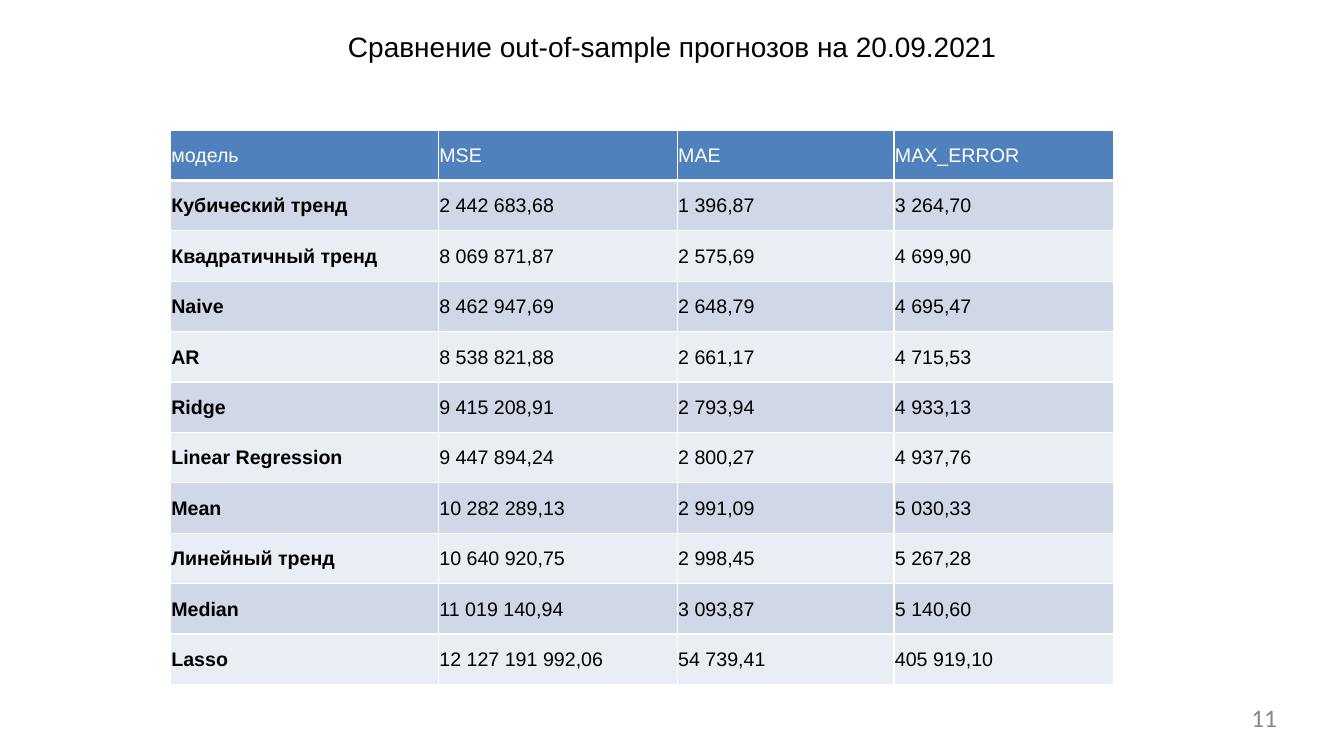
"""Build a slide with a table that compares out-of-sample forecast errors."""
from lxml.etree import SubElement
from pptx import Presentation
from pptx.dml.color import RGBColor
from pptx.enum.text import MSO_ANCHOR as Anchor, PP_ALIGN as Align
from pptx.oxml.ns import qn
from pptx.util import Pt

BLACK = RGBColor(0x00, 0x00, 0x00)
WHITE = RGBColor(0xFF, 0xFF, 0xFF)
GRAY = RGBColor(0x88, 0x88, 0x88)
HEADER_BLUE = RGBColor(0x4F, 0x81, 0xBD)
BAND_DARK = RGBColor(0xD0, 0xD8, 0xE8)
BAND_LIGHT = RGBColor(0xE9, 0xED, 0xF4)

COLUMN_WIDTHS = [191.5, 170.6, 154.8, 157]
ROW_HEIGHT = 36
ROWS = [
    ("модель", "MSE", "MAE", "MAX_ERROR"),
    ("Кубический тренд", "2 442 683,68", "1 396,87", "3 264,70"),
    ("Квадратичный тренд", "8 069 871,87", "2 575,69", "4 699,90"),
    ("Naive", "8 462 947,69", "2 648,79", "4 695,47"),
    ("AR", "8 538 821,88", "2 661,17", "4 715,53"),
    ("Ridge", "9 415 208,91", "2 793,94", "4 933,13"),
    ("Linear Regression", "9 447 894,24", "2 800,27", "4 937,76"),
    ("Mean", "10 282 289,13", "2 991,09", "5 030,33"),
    ("Линейный тренд", "10 640 920,75", "2 998,45", "5 267,28"),
    ("Median", "11 019 140,94", "3 093,87", "5 140,60"),
    ("Lasso", "12 127 191 992,06", "54 739,41", "405 919,10"),
]


def write_text(frame, text, size, color, font="Arial", bold=False, align=Align.LEFT):
    frame.word_wrap = True
    paragraph = frame.paragraphs[0]
    paragraph.alignment = align
    run = paragraph.add_run()
    run.text = text
    run.font.name = font
    run.font.size = Pt(size)
    run.font.bold = bold
    run.font.color.rgb = color


def add_border(cell, side, width):
    line = SubElement(cell._tc.get_or_add_tcPr(), qn(f"a:ln{side}"), w=str(Pt(width)))
    fill = SubElement(line, qn("a:solidFill"))
    SubElement(fill, qn("a:srgbClr"), val=str(WHITE))


presentation = Presentation()
presentation.slide_width = Pt(960)
presentation.slide_height = Pt(540)
slide = presentation.slides.add_slide(presentation.slide_layouts[5])

title = slide.shapes.title
title.left, title.top, title.width, title.height = Pt(27.4), Pt(20.9), Pt(905.8), Pt(24.5)
number = slide.shapes.add_textbox(Pt(691.2), Pt(501.8), Pt(221), Pt(27.4))
for shape in (title, number):
    frame = shape.text_frame
    frame.margin_left = frame.margin_top = frame.margin_right = frame.margin_bottom = 0
title.text_frame.vertical_anchor = Anchor.MIDDLE
write_text(title.text_frame, "Сравнение out-of-sample прогнозов на 20.09.2021", 20, BLACK,
           align=Align.CENTER)
write_text(number.text_frame, "11", 18, GRAY, font="Calibri", align=Align.RIGHT)

table = slide.shapes.add_table(
    len(ROWS), len(COLUMN_WIDTHS), Pt(121.7), Pt(92.9),
    Pt(sum(COLUMN_WIDTHS)), Pt(ROW_HEIGHT * len(ROWS))).table
for column, width in zip(table.columns, COLUMN_WIDTHS):
    column.width = Pt(width)

for row_index, values in enumerate(ROWS):
    table.rows[row_index].height = Pt(ROW_HEIGHT)
    is_header = row_index == 0
    band = BAND_DARK if row_index % 2 else BAND_LIGHT
    for column_index, value in enumerate(values):
        cell = table.cell(row_index, column_index)
        cell.vertical_anchor = Anchor.MIDDLE
        cell.margin_left = cell.margin_right = cell.margin_top = Pt(0.7)
        cell.margin_bottom = 0
        write_text(cell.text_frame, value, 14, WHITE if is_header else BLACK,
                   bold=column_index == 0 and not is_header)
        for side in "LRTB":
            thick = (side, row_index) in (("B", 0), ("T", 1))
            add_border(cell, side, 3 if thick else 1)
        cell.fill.solid()
        cell.fill.fore_color.rgb = HEADER_BLUE if is_header else band

presentation.save("out.pptx")
